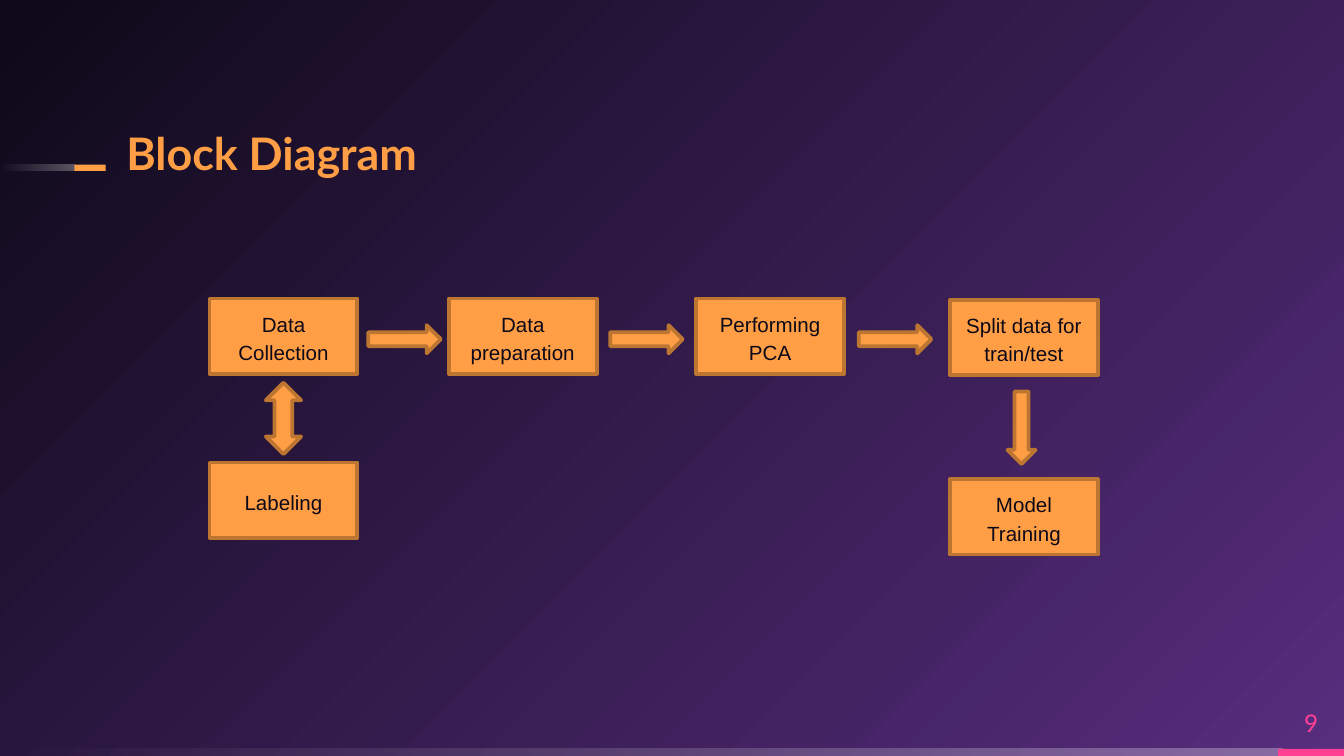
"""Build the block diagram slide."""
from lxml import etree
from pptx import Presentation
from pptx.dml.color import RGBColor
from pptx.enum.shapes import MSO_SHAPE
from pptx.enum.text import MSO_ANCHOR, PP_ALIGN
from pptx.oxml.ns import qn
from pptx.util import Pt

RECTANGLE = MSO_SHAPE.RECTANGLE
RIGHT_ARROW = MSO_SHAPE.RIGHT_ARROW
UP_DOWN_ARROW = MSO_SHAPE.UP_DOWN_ARROW
MIDDLE, BOTTOM = MSO_ANCHOR.MIDDLE, MSO_ANCHOR.BOTTOM
CENTER, LEFT = PP_ALIGN.CENTER, PP_ALIGN.LEFT

COLORS = {
    "orange": "FF9E44",
    "brown": "BD7532",
    "ink": "0E0918",
    "violet": "572D7E",
    "pink": "FF4093",
    "white": "FFFFFF",
}
BOX_SIZE = (79.2, 40.3)
ARROW_SIZE = (38.9, 15.1)
NO_INSETS = dict.fromkeys(("margin_left", "margin_top", "margin_right", "margin_bottom"), 0)
STEPS = [
    ("Data Collection", 112.3, 160),
    ("Data preparation", 240.5, 160),
    ("Performing PCA", 373, 160),
    ("Split data for train/test", 509, 160.7),
    ("Model Training", 509, 256.8),
    ("Labeling", 112.3, 247.8),
]
ARROWS = [(197.3, 174.2, 0), (326.9, 174.2, 0), (460.1, 174.2, 0), (527.8, 221.6, 90)]


def color(name):
    """Return the named colour."""
    return RGBColor.from_string(COLORS[name])


def apply(target, values):
    """Set attributes from a dict of values."""
    for name, value in values.items():
        setattr(target, name, value)


def set_gradient(fill, owner, names):
    """Give a two-stop gradient to a fill and return its XML element."""
    fill.gradient()
    for stop, name, position in zip(fill.gradient_stops, names, (0, 1)):
        stop.color.rgb = color(name)
        stop.position = position
    return owner.find(".//" + qn("a:gradFill"))


def paint_background(page):
    """Spread a circular gradient from the bottom right corner."""
    gradient = set_gradient(page.background.fill, page._element, ("violet", "ink"))
    gradient.remove(gradient.find(qn("a:lin")))
    circle = etree.SubElement(gradient, qn("a:path"), {"path": "circle"})
    etree.SubElement(circle, qn("a:fillToRect"), {"l": "100000", "t": "100000"})
    etree.SubElement(gradient, qn("a:tileRect"), {"r": "-100000", "b": "-100000"})


def add_shape(page, kind, place, fill, line=None):
    """Add a flat preset shape."""
    shape = page.shapes.add_shape(kind, *map(Pt, place))
    shape.shadow.inherit = False
    shape.fill.solid()
    shape.fill.fore_color.rgb = color(fill)
    if line:
        shape.line.color.rgb = color(line)
        shape.line.width = Pt(2)
    else:
        shape.line.fill.background()
    return shape


def add_fading_bar(page, place):
    """Add a white bar that fades out to the left."""
    bar = add_shape(page, RECTANGLE, place, "white")
    gradient = set_gradient(bar.fill, bar._element, ("white", "white"))
    bar.fill.gradient_angle = 180
    for tone, alpha in zip(gradient.iter(qn("a:srgbClr")), ("30000", "0")):
        etree.SubElement(tone, qn("a:alpha"), {"val": alpha})


def write(shape, text, ink, font, frame, paragraph):
    """Write one formatted paragraph into a shape."""
    box = shape.text_frame
    apply(box, {"word_wrap": True, **frame})
    para = box.paragraphs[0]
    apply(para, paragraph)
    span = para.add_run()
    span.text = text
    apply(span.font, font)
    span.font.color.rgb = color(ink)


def add_label(page, place, text, ink, font, anchor, paragraph):
    """Add a text box without insets."""
    label = page.shapes.add_textbox(*map(Pt, place))
    write(label, text, ink, font, {"vertical_anchor": anchor, **NO_INSETS}, paragraph)


def add_step(page, text, left, top):
    """Add one labelled block of the diagram."""
    step = add_shape(page, RECTANGLE, (left, top, *BOX_SIZE), "orange", "brown")
    write(step, text, "ink", {"name": "Arial", "size": Pt(11)}, {"vertical_anchor": MIDDLE},
          {"alignment": CENTER, "line_spacing": 1.15, "space_after": Pt(10)})


def add_arrow(page, left, top, rotation):
    """Add a block arrow turned by the given angle."""
    arrow = add_shape(page, RIGHT_ARROW, (left, top, *ARROW_SIZE), "orange", "brown")
    arrow.rotation = rotation


def main():
    """Build and save the slide."""
    deck = Presentation()
    apply(deck, {"slide_width": Pt(720), "slide_height": Pt(405)})
    page = deck.slides.add_slide(deck.slide_layouts[6])
    paint_background(page)
    add_fading_bar(page, (0, 401.2, 686.9, 3.8))
    add_shape(page, RECTANGLE, (684.7, 401.2, 35.3, 3.8), "pink")
    add_fading_bar(page, (0, 88.2, 40, 3.4))
    add_shape(page, RECTANGLE, (39.8, 88.2, 16.8, 3.4), "orange")
    add_label(page, (67.7, 65.5, 417.6, 31), "Block Diagram", "orange",
              {"name": "Lato", "size": Pt(24), "bold": True}, BOTTOM,
              {"alignment": LEFT, "line_spacing": 0.9})
    add_label(page, (684.7, 373.7, 35.3, 27.4), "9", "pink",
              {"name": "Lato", "size": Pt(13)}, MIDDLE, {"alignment": CENTER})
    for step in STEPS:
        add_step(page, *step)
    for arrow in ARROWS:
        add_arrow(page, *arrow)
    add_shape(page, UP_DOWN_ARROW, (142.4, 205, 18.9, 38.3), "orange", "brown")
    deck.save("out.pptx")


if __name__ == "__main__":
    main()
